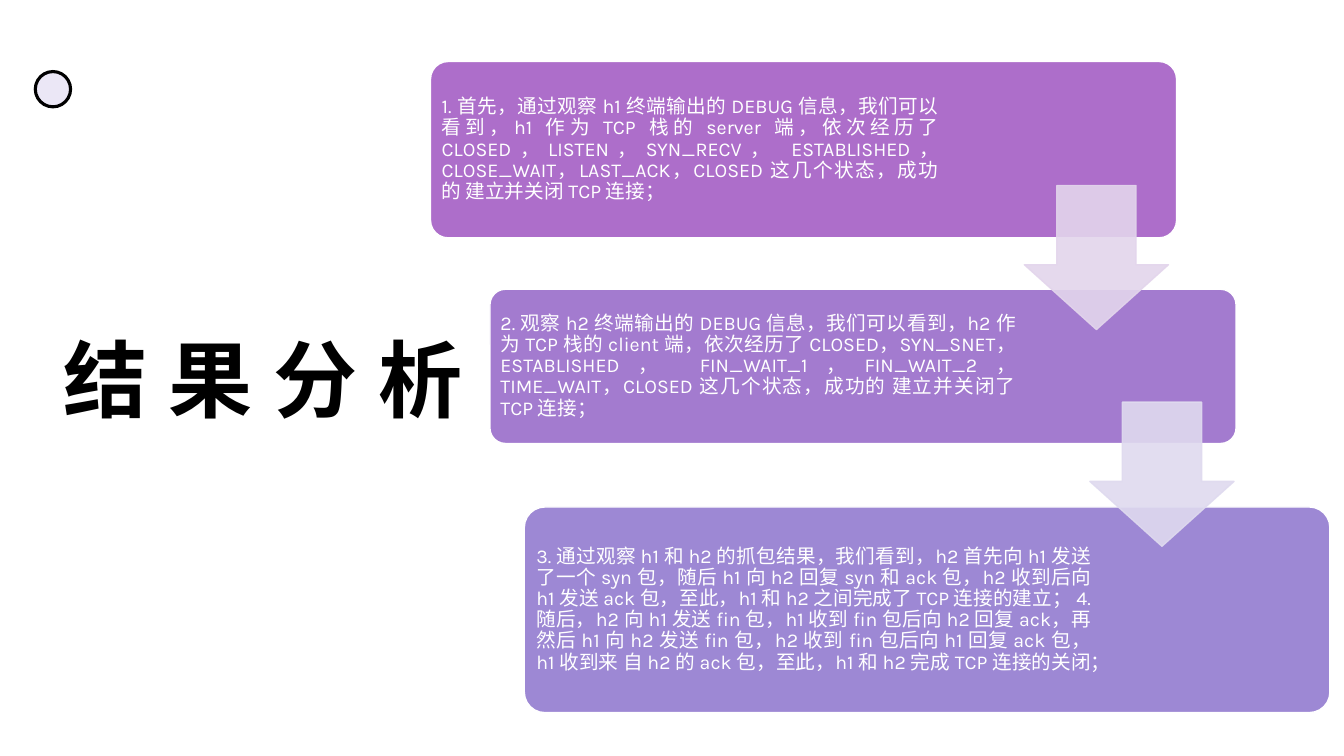
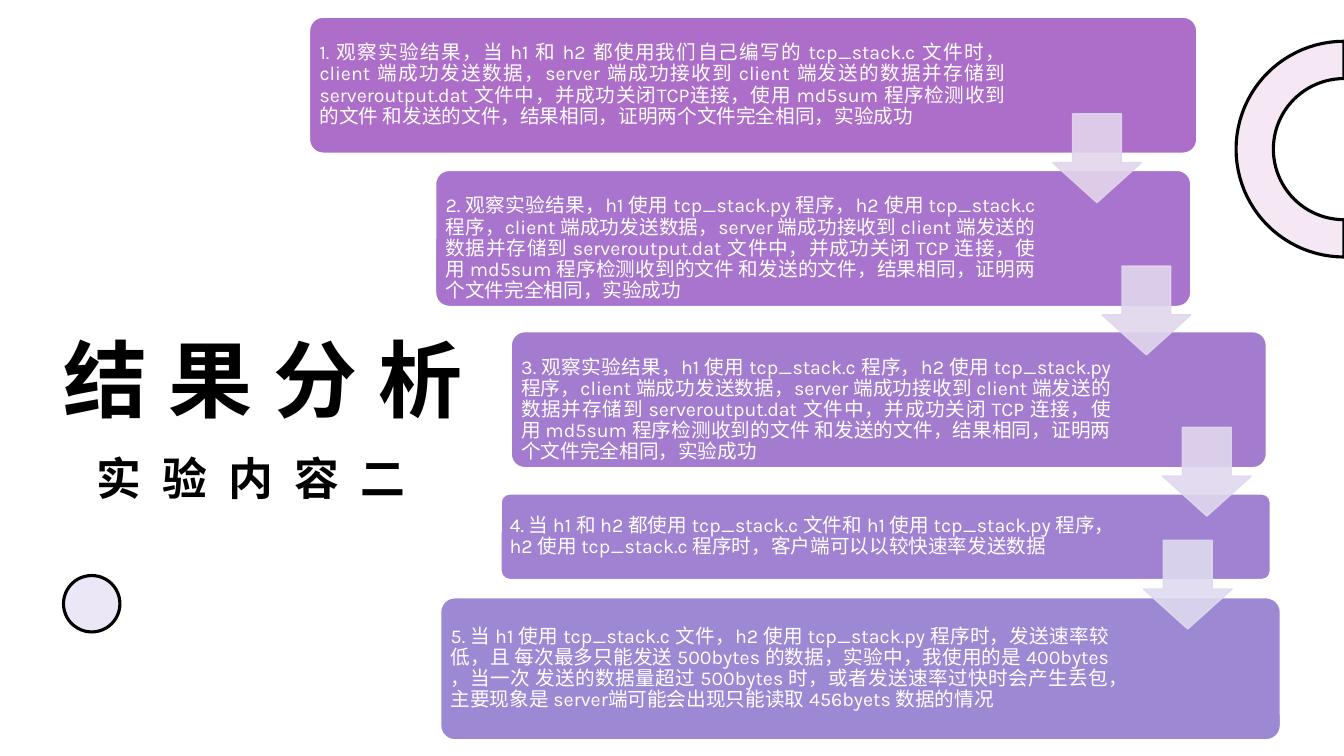
from math import cos, pi, sin

from lxml import etree
from pptx import Presentation
from pptx.dml.color import RGBColor
from pptx.enum.shapes import MSO_SHAPE
from pptx.enum.text import MSO_ANCHOR, PP_ALIGN
from pptx.oxml.ns import qn
from pptx.util import Inches, Pt

ROUNDED = MSO_SHAPE.ROUNDED_RECTANGLE
DOWN_ARROW = MSO_SHAPE.DOWN_ARROW
OVAL = MSO_SHAPE.OVAL
MIDDLE, BOTTOM = MSO_ANCHOR.MIDDLE, MSO_ANCHOR.BOTTOM
LEFT, CENTER, JUSTIFY = PP_ALIGN.LEFT, PP_ALIGN.CENTER, PP_ALIGN.JUSTIFY

BLACK = RGBColor(0x00, 0x00, 0x00)
WHITE = RGBColor(0xFF, 0xFF, 0xFF)
LAVENDER = RGBColor(0xEB, 0xE7, 0xF6)
PINK = RGBColor(0xF6, 0xE7, 0xF5)
ORCHID = RGBColor(0xAD, 0x6E, 0xCA)
AMETHYST = RGBColor(0xA8, 0x74, 0xCD)
PURPLE = RGBColor(0xA3, 0x7B, 0xCF)
VIOLET = RGBColor(0xA0, 0x81, 0xD2)
PERIWINKLE = RGBColor(0x9D, 0x88, 0xD4)
PALE_ORCHID = RGBColor(0xE3, 0xD5, 0xEC)
PALE_AMETHYST = RGBColor(0xE1, 0xD6, 0xED)
PALE_VIOLET = RGBColor(0xE0, 0xD8, 0xEE)
PALE_PERIWINKLE = RGBColor(0xDF, 0xDA, 0xEF)

FONT = "Karla"
SLIDE_WIDTH, SLIDE_HEIGHT = 13.33, 7.5
STEP_INSET = 0.06
CORNER_MARGIN = 0.029
ARROW_OPACITY = 90

TCP_STEPS = [
    ((4.27, 0.61, 7.4, 1.75), 5.05, 0, ORCHID,
     "1. 首先，通过观察 h1 终端输出的 DEBUG 信息，我们可以看到，h1 作为 TCP 栈的 server 端，依次经历了 CLOSED，LISTEN，SYN_RECV， ESTABLISHED，CLOSE_WAIT，LAST_ACK，CLOSED 这几个状态，成功的 建立并关闭 TCP 连接；"),
    ((4.86, 2.87, 7.4, 1.53), 5.23, 0, PURPLE,
     "2. 观察 h2 终端输出的 DEBUG 信息，我们可以看到，h2 作为 TCP 栈的 client 端，依次经历了 CLOSED，SYN_SNET，ESTABLISHED， FIN_WAIT_1，FIN_WAIT_2，TIME_WAIT，CLOSED 这几个状态，成功的 建立并关闭了 TCP 连接；"),
    ((5.2, 5.03, 7.99, 2.04), 5.62, 0, PERIWINKLE,
     "3. 通过观察 h1 和 h2 的抓包结果，我们看到，h2 首先向 h1 发送了一个 syn 包，随后 h1 向 h2 回复 syn 和 ack 包，h2 收到后向 h1 发送 ack 包，至此，h1 和 h2 之间完成了 TCP 连接的建立； 4. 随后，h2 向 h1 发送 fin 包，h1 收到 fin 包后向 h2 回复 ack，再然后 h1 向 h2 发送 fin 包，h2 收到 fin 包后向 h1 回复 ack 包，h1 收到来 自 h2 的 ack 包，至此，h1 和 h2 完成 TCP 连接的关闭；"),
]
TCP_ARROWS = [(10.16, 1.84, PALE_ORCHID), (10.81, 3.99, PALE_PERIWINKLE)]

FILE_STEPS = [
    ((3.07, 0.17, 8.8, 1.35), 6.92, 0, ORCHID,
     "1. 观察实验结果，当 h1 和 h2 都使⽤我们⾃⼰编写的 tcp_stack.c ⽂件时，client 端成功发送数据，server 端成功接收到 client 端发送的数据并存储到 serveroutput.dat ⽂件中，并成功关闭TCP连接，使⽤ md5sum 程序检测收到的⽂件 和发送的⽂件，结果相同，证明两个⽂件完全相同，实验成功"),
    ((4.32, 1.69, 7.49, 1.35), 5.97, 0.21, AMETHYST,
     "2. 观察实验结果，h1 使⽤ tcp_stack.py 程序，h2 使⽤ tcp_stack.c 程序，client 端成功发送数据，server 端成功接收到 client 端发送的数据并存储到 serveroutput.dat ⽂件中，并成功关闭 TCP 连接，使⽤ md5sum 程序检测收到的⽂件 和发送的⽂件，结果相同，证明两个⽂件完全相同，实验成功"),
    ((5.07, 3.29, 7.49, 1.35), 5.97, 0.21, PURPLE,
     "3. 观察实验结果，h1 使⽤ tcp_stack.c 程序，h2 使⽤ tcp_stack.py 程序，client 端成功发送数据，server 端成功接收到 client 端发送的数据并存储到 serveroutput.dat ⽂件中，并成功关闭 TCP 连接，使⽤ md5sum 程序检测收到的⽂件 和发送的⽂件，结果相同，证明两个⽂件完全相同，实验成功"),
    ((4.97, 4.9, 7.63, 0.85), 6.12, 0, VIOLET,
     "4. 当 h1 和 h2 都使⽤ tcp_stack.c ⽂件和 h1 使⽤ tcp_stack.py 程序，h2 使⽤ tcp_stack.c 程序时，客户端可以以较快速率发送数据"),
    ((4.37, 5.93, 8.33, 1.41), 6.65, 0, PERIWINKLE,
     "5. 当 h1 使⽤ tcp_stack.c ⽂件，h2 使⽤ tcp_stack.py 程序时，发送速率较低，且 每次最多只能发送 500bytes 的数据，实验中，我使⽤的是 400bytes ，当⼀次 发送的数据量超过 500bytes 时，或者发送速率过快时会产⽣丢包，主要现象是 server端可能会出现只能读取 456byets 数据的情况"),
]
FILE_ARROWS = [
    (10.44, 1.13, PALE_ORCHID),
    (10.93, 2.64, PALE_AMETHYST),
    (11.53, 4.24, PALE_VIOLET),
    (11.34, 5.36, PALE_PERIWINKLE),
]


def write_text(holder, text, size=14, color=BLACK, bold=False, align=LEFT,
               anchor=BOTTOM, spacing=0, insets=(0.1, 0.05, 0.1, 0.05)):
    frame = holder.text_frame
    frame.word_wrap = True
    frame.vertical_anchor = anchor
    (frame.margin_left, frame.margin_top,
     frame.margin_right, frame.margin_bottom) = map(Inches, insets)
    paragraph = frame.paragraphs[0]
    paragraph.alignment = align
    paragraph.line_spacing = 0.9
    run = paragraph.add_run()
    run.text = text
    run.font.name = FONT
    run.font.size = Pt(size)
    run.font.bold = bold
    run.font.color.rgb = color
    if spacing:
        run.font._element.set("spc", str(spacing * 100))


def paint(shape, fill, line, line_width, opacity=100):
    shape.shadow.inherit = False
    shape.fill.solid()
    shape.fill.fore_color.rgb = fill
    shape.line.color.rgb = line
    shape.line.width = Pt(line_width)
    if opacity < 100:
        for color in shape._element.spPr.iter(qn("a:srgbClr")):
            alpha = etree.SubElement(color, qn("a:alpha"))
            alpha.set("val", str(opacity * 1000))


def add_heading(slide, box, text, size, align=LEFT):
    heading = slide.shapes.add_textbox(*map(Inches, box))
    write_text(heading, text, size=size, bold=True, align=align, spacing=15)


def add_dot(slide, left, top, diameter):
    dot = slide.shapes.add_shape(OVAL, *map(Inches, (left, top, diameter, diameter)))
    paint(dot, LAVENDER, BLACK, 2.25)


def add_half_ring(slide, center_x, center_y, outer, inner, segments=48):
    def arc(radius):
        angles = [pi / 2 + pi * i / segments for i in range(segments + 1)]
        return [(Inches(center_x + radius * cos(a)), Inches(center_y - radius * sin(a)))
                for a in angles]

    outline = arc(outer) + arc(inner)[::-1]
    builder = slide.shapes.build_freeform(*outline[0])
    builder.add_line_segments(outline[1:], close=True)
    paint(builder.convert_to_shape(), PINK, BLACK, 2.25)


def add_step(slide, box, text_width, lead, fill, text):
    step = slide.shapes.add_shape(ROUNDED, *map(Inches, box))
    step.adjustments[0] = 0.1
    paint(step, fill, WHITE, 1)
    width, height = box[2:]
    right_inset = width - 2 * CORNER_MARGIN * height - text_width + STEP_INSET
    write_text(step, text, color=WHITE, align=JUSTIFY, anchor=MIDDLE,
               insets=(STEP_INSET, STEP_INSET + lead, right_inset, STEP_INSET))


def add_staircase(slide, steps, arrows, arrow_size):
    for step in steps:
        add_step(slide, *step)
    for left, top, color in arrows:
        arrow = slide.shapes.add_shape(
            DOWN_ARROW, *map(Inches, (left, top, arrow_size, arrow_size)))
        arrow.adjustments[0] = 0.55
        arrow.adjustments[1] = 0.45
        paint(arrow, color, color, 1, ARROW_OPACITY)


def add_analysis_slide(deck):
    slide = deck.slides.add_slide(deck.slide_layouts[6])
    add_heading(slide, (0.53, 3.19, 4.58, 1.12), "结果分析", 60)
    return slide


def build_tcp_analysis(deck):
    slide = add_analysis_slide(deck)
    add_dot(slide, 0.35, 0.71, 0.35)
    add_staircase(slide, TCP_STEPS, TCP_ARROWS, 1.43)


def build_file_analysis(deck):
    slide = add_analysis_slide(deck)
    add_half_ring(slide, SLIDE_WIDTH, 1.48, 1.07, 0.7)
    add_dot(slide, 0.63, 5.71, 0.56)
    add_staircase(slide, FILE_STEPS, FILE_ARROWS, 0.88)
    add_heading(slide, (0.43, 4.37, 4.12, 0.69), "实验内容二", 32, CENTER)


def main():
    deck = Presentation()
    deck.slide_width = Inches(SLIDE_WIDTH)
    deck.slide_height = Inches(SLIDE_HEIGHT)
    build_tcp_analysis(deck)
    build_file_analysis(deck)
    deck.save("out.pptx")


if __name__ == "__main__":
    main()
